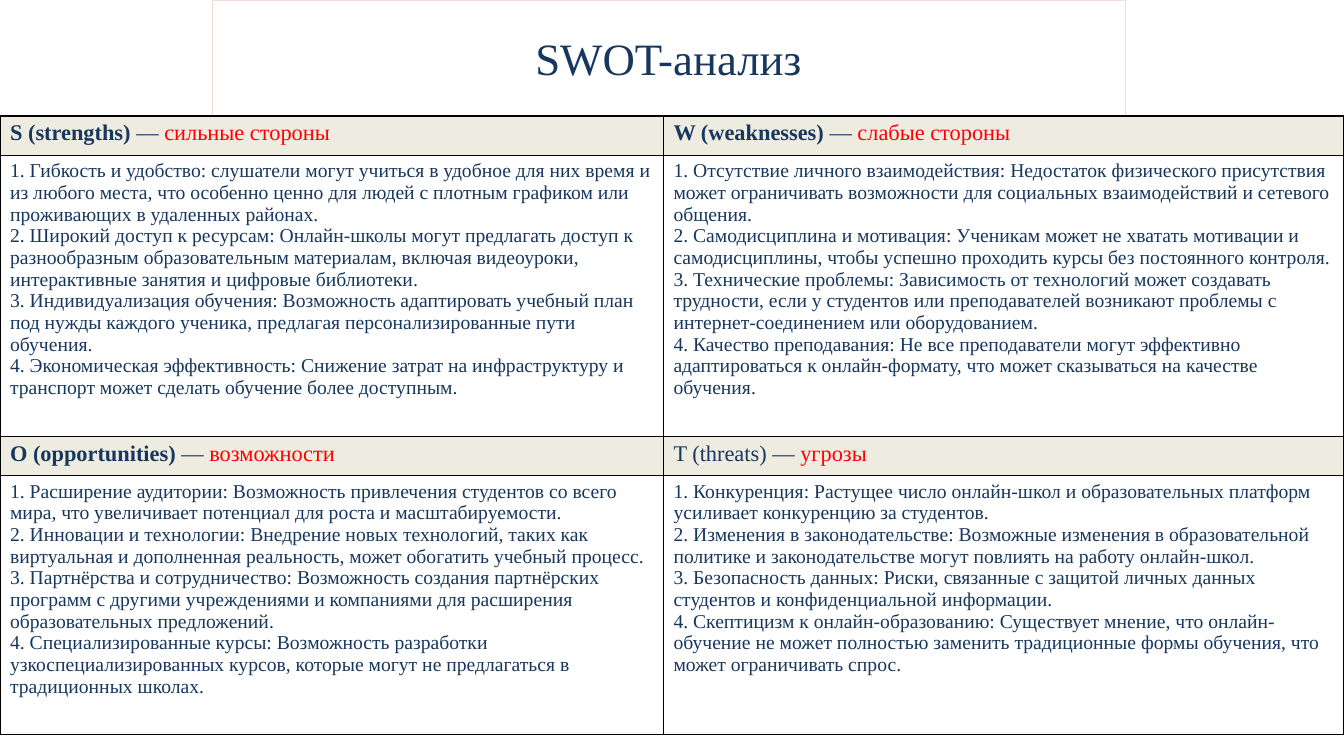
from lxml import etree
from pptx import Presentation
from pptx.dml.color import RGBColor
from pptx.enum.text import MSO_ANCHOR, PP_ALIGN
from pptx.oxml.ns import qn
from pptx.util import Inches, Pt

NAVY = RGBColor(0x17, 0x37, 0x5E)
RED = RGBColor(0xFF, 0x00, 0x00)
BEIGE = RGBColor(0xEE, 0xEC, 0xE1)
WHITE = RGBColor(0xFF, 0xFF, 0xFF)
PINK = RGBColor(0xF2, 0xDC, 0xDB)
BLACK = RGBColor(0x00, 0x00, 0x00)
FONT = "Times New Roman"

COLUMN_WIDTHS = (6.58, 6.75)
ROW_HEIGHTS = (0.39, 2.79, 0.39, 2.57)

# Each quadrant: letter and term, translation, bold term or not, points
QUADRANTS = [
    ("S (strengths)", "сильные стороны", True, [
        "1. Гибкость и удобство: слушатели могут учиться в удобное для них время и из любого места, "
        "что особенно ценно для людей с плотным графиком или проживающих в удаленных районах.",
        "2. Широкий доступ к ресурсам: Онлайн-школы могут предлагать доступ к разнообразным "
        "образовательным материалам, включая видеоуроки, интерактивные занятия и цифровые библиотеки.",
        "3. Индивидуализация обучения: Возможность адаптировать учебный план под нужды каждого "
        "ученика, предлагая персонализированные пути обучения.",
        "4. Экономическая эффективность: Снижение затрат на инфраструктуру и транспорт может "
        "сделать обучение более доступным.",
    ]),
    ("W (weaknesses)", "слабые стороны", True, [
        "1. Отсутствие личного взаимодействия: Недостаток физического присутствия может "
        "ограничивать возможности для социальных взаимодействий и сетевого общения.",
        "2. Самодисциплина и мотивация: Ученикам может не хватать мотивации и самодисциплины, "
        "чтобы успешно проходить курсы без постоянного контроля.",
        "3. Технические проблемы: Зависимость от технологий может создавать трудности, если у "
        "студентов или преподавателей возникают проблемы с интернет-соединением или оборудованием.",
        "4. Качество преподавания: Не все преподаватели могут эффективно адаптироваться к "
        "онлайн-формату, что может сказываться на качестве обучения.",
    ]),
    ("O (opportunities)", "возможности", True, [
        "1. Расширение аудитории: Возможность привлечения студентов со всего мира, что "
        "увеличивает потенциал для роста и масштабируемости.",
        "2. Инновации и технологии: Внедрение новых технологий, таких как виртуальная и "
        "дополненная реальность, может обогатить учебный процесс.",
        "3. Партнёрства и сотрудничество: Возможность создания партнёрских программ с другими "
        "учреждениями и компаниями для расширения образовательных предложений.",
        "4. Специализированные курсы: Возможность разработки узкоспециализированных курсов, "
        "которые могут не предлагаться в традиционных школах.",
    ]),
    ("T (threats)", "угрозы", False, [
        "1. Конкуренция: Растущее число онлайн-школ и образовательных платформ усиливает "
        "конкуренцию за студентов.",
        "2. Изменения в законодательстве: Возможные изменения в образовательной политике и "
        "законодательстве могут повлиять на работу онлайн-школ.",
        "3. Безопасность данных: Риски, связанные с защитой личных данных студентов и "
        "конфиденциальной информации.",
        "4. Скептицизм к онлайн-образованию: Существует мнение, что онлайн-обучение не может "
        "полностью заменить традиционные формы обучения, что может ограничивать спрос.",
    ]),
]


def add_text(paragraph, text, *, size, color=NAVY, bold=False):
    run = paragraph.add_run()
    run.text = text
    run.font.name = FONT
    run.font.size = Pt(size)
    run.font.bold = bold
    run.font.color.rgb = color


def style_cell(cell, fill):
    # Borders must precede the fill in the cell properties
    properties = cell._tc.get_or_add_tcPr()
    for side in ("a:lnL", "a:lnR", "a:lnT", "a:lnB"):
        border = etree.SubElement(properties, qn(side), w=str(Pt(1)))
        solid = etree.SubElement(border, qn("a:solidFill"))
        etree.SubElement(solid, qn("a:srgbClr"), val=str(BLACK))
    cell.fill.solid()
    cell.fill.fore_color.rgb = fill


def fill_heading(cell, term, translation, bold):
    style_cell(cell, BEIGE)
    heading = cell.text_frame.paragraphs[0]
    add_text(heading, term, size=16, bold=bold)
    add_text(heading, " — ", size=16)
    add_text(heading, translation, size=16, color=RED)


def fill_points(cell, points):
    style_cell(cell, WHITE)
    frame = cell.text_frame
    for index, point in enumerate(points):
        paragraph = frame.add_paragraph() if index else frame.paragraphs[0]
        add_text(paragraph, point, size=14)


def format_title(title, text):
    title.left, title.top = Inches(2.1), Inches(0)
    title.width, title.height = Inches(9.06), Inches(1.15)
    title.fill.solid()
    title.fill.fore_color.rgb = WHITE
    title.line.color.rgb = PINK
    title.line.width = Pt(0.25)
    title.text_frame.vertical_anchor = MSO_ANCHOR.MIDDLE
    paragraph = title.text_frame.paragraphs[0]
    paragraph.alignment = PP_ALIGN.CENTER
    add_text(paragraph, text, size=32)


def add_swot_table(slide):
    table = slide.shapes.add_table(
        len(ROW_HEIGHTS), len(COLUMN_WIDTHS), Inches(0), Inches(1.15),
        Inches(sum(COLUMN_WIDTHS)), Inches(sum(ROW_HEIGHTS))).table
    table.first_row = table.horz_banding = False
    for column, width in zip(table.columns, COLUMN_WIDTHS):
        column.width = Inches(width)
    for row, height in zip(table.rows, ROW_HEIGHTS):
        row.height = Inches(height)

    # Two quadrants across, each a heading row above a row of points
    for index, (term, translation, bold, points) in enumerate(QUADRANTS):
        pair, column = divmod(index, 2)
        fill_heading(table.cell(2 * pair, column), term, translation, bold)
        fill_points(table.cell(2 * pair + 1, column), points)


def main():
    presentation = Presentation()
    presentation.slide_width = Inches(13.33)
    presentation.slide_height = Inches(7.5)
    slide = presentation.slides.add_slide(presentation.slide_layouts[5])
    format_title(slide.shapes.title, "SWOT-анализ")
    add_swot_table(slide)
    presentation.save("out.pptx")


if __name__ == "__main__":
    main()
